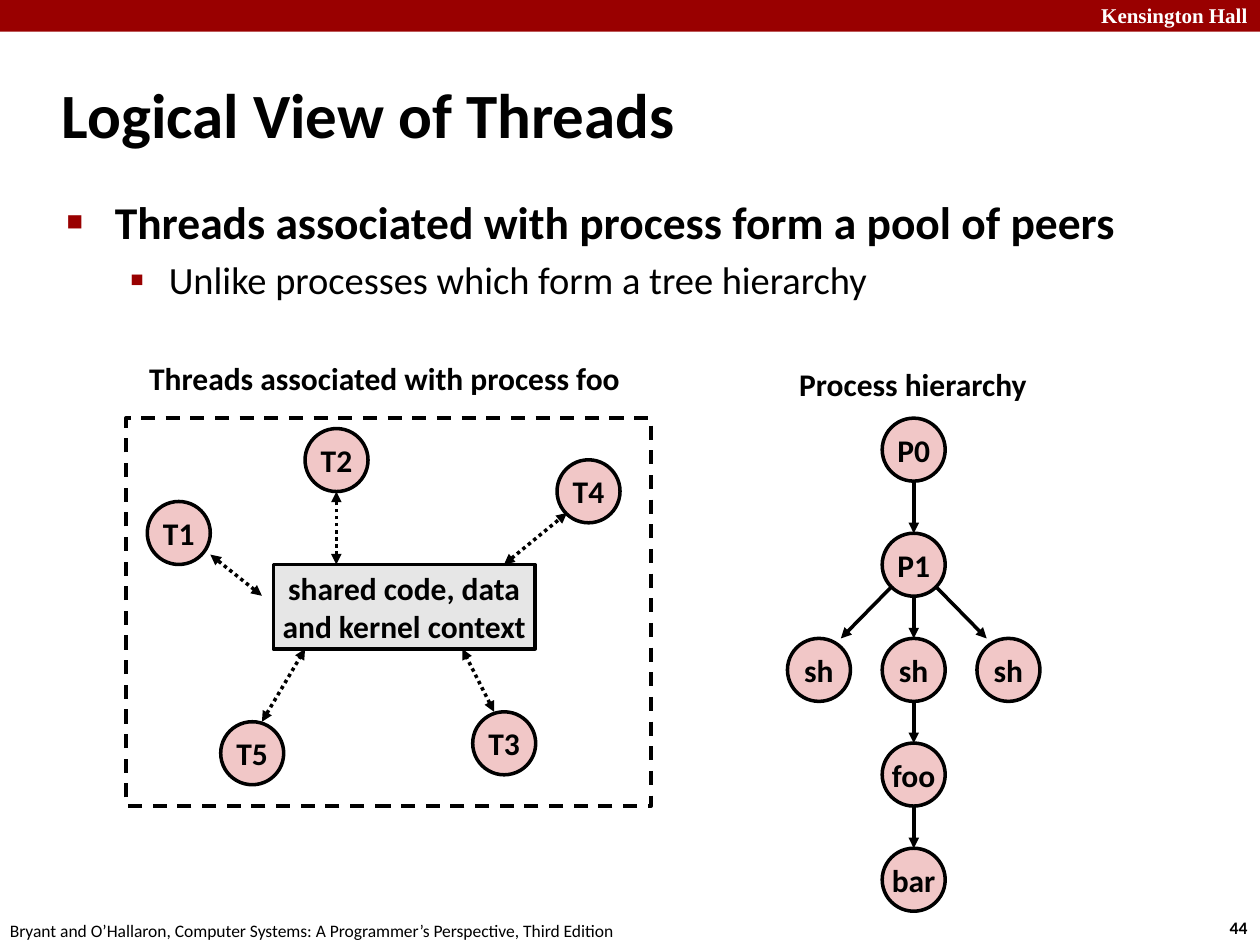
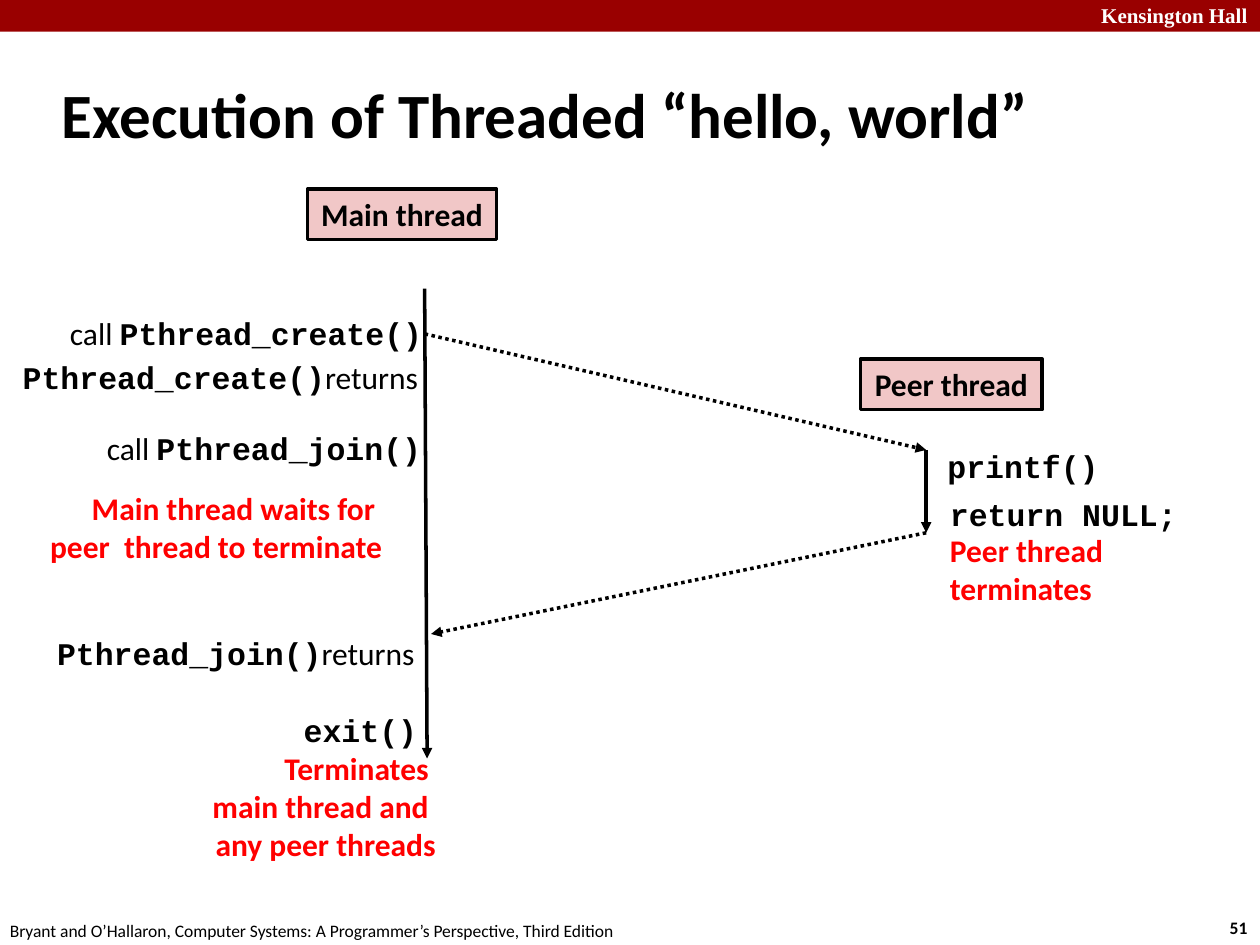
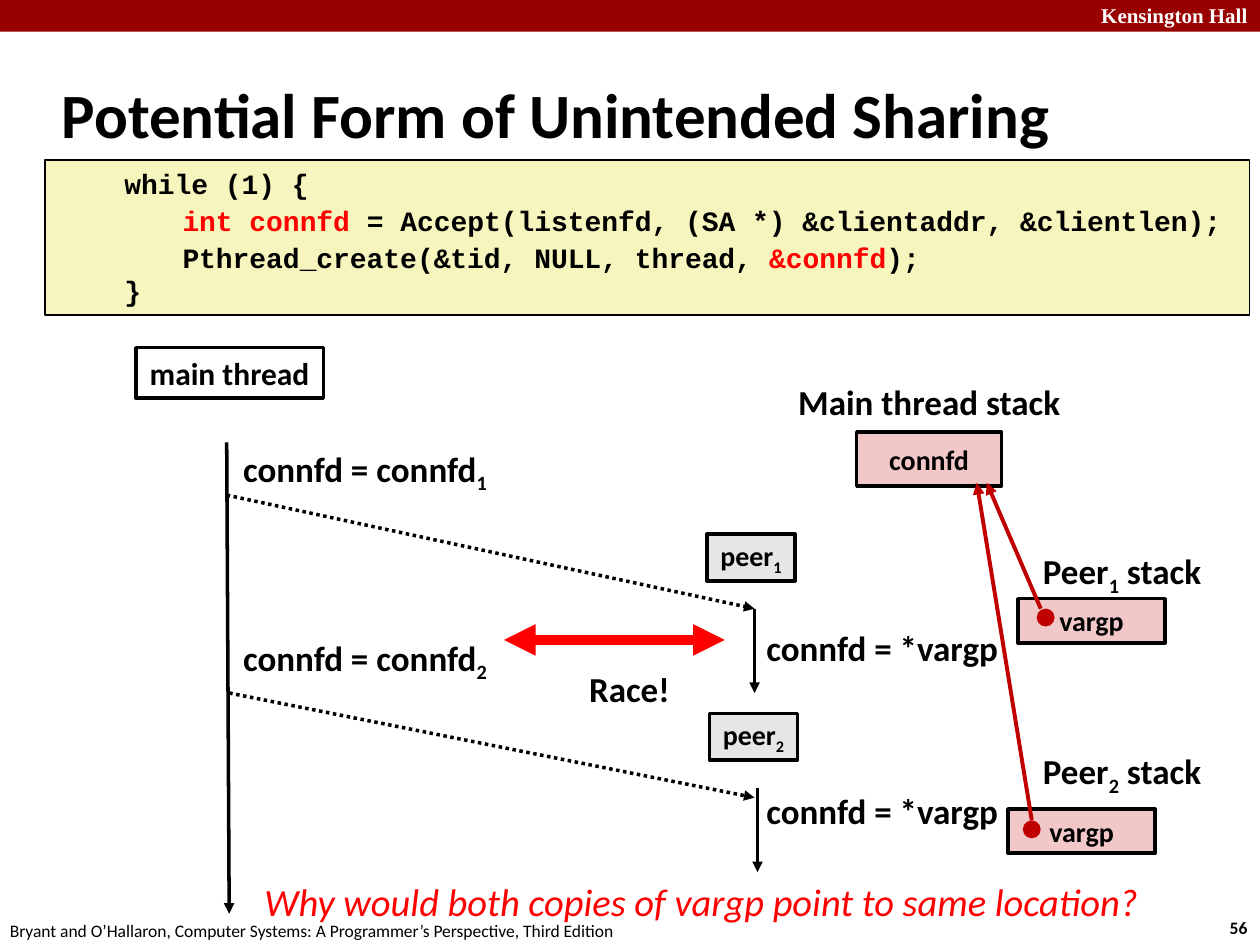
from itertools import pairwise

from lxml import etree
from pptx import Presentation
from pptx import util as u
from pptx.dml.color import RGBColor
from pptx.enum import dml, shapes, text
from pptx.oxml.ns import qn

BLACK, WHITE, RED = "000000", "FFFFFF", "FF0000"
BAND, POINTER = "990000", "C00000"
PINK, GREY, CREAM = "F1C7C7", "E6E6E6", "F6F5BD"

LEFT, CENTER, RIGHT = text.PP_ALIGN.LEFT, text.PP_ALIGN.CENTER, text.PP_ALIGN.RIGHT
TOP, MIDDLE = text.MSO_ANCHOR.TOP, text.MSO_ANCHOR.MIDDLE
RECT, OVAL = shapes.MSO_SHAPE.RECTANGLE, shapes.MSO_SHAPE.OVAL
DOTS, DASHES = dml.MSO_LINE.ROUND_DOT, dml.MSO_LINE.DASH

PLAIN = {"bold": False}
MONO = {"name": "Courier New"}
ALERT = {"color": RED}
SUB = {"baseline": "-25000"}

NODE = 1.27  # diameter of a thread or process circle, cm


def rgb(code):
    return RGBColor.from_string(code)


def cm(*lengths):
    return [u.Cm(length) for length in lengths]


class Deck:
    """Holds the shared style and the slide being drawn."""

    font = {"name": "Calibri", "size": 18, "bold": True, "color": BLACK}
    bullets = [  # size, bold, left margin, hanging indent, sign, sign size
        (26, True, 0.97, 0.97, "■", "60000"),
        (22, False, 2.06, 0.79, "▪", "110000"),
    ]

    def __init__(self):
        self.prs = Presentation()
        self.prs.slide_width, self.prs.slide_height = cm(25.4, 19.05)
        self.slide = None

    # Slide frame
    def new_slide(self, title, number, layout=5):
        first = self.slide is None
        self.slide = self.prs.slides.add_slide(self.prs.slide_layouts[layout])
        if first:
            self.frame_master()
        heading = self.slide.shapes.title
        self.place(heading, 0.99, 1.22, 21.08, 2.11)
        self.set_text(heading, [title], LEFT, MIDDLE, size=36)
        self.label([str(number)], 24.54, 18.36, 0.94, 0.69, size=10)

    def frame_master(self):
        band = self.shape(RECT, 0, 0, 25.4, 0.64, fill=BAND, line=None)
        school = self.label(["Kensington Hall"], 21.95, -0.08, 3.63, 0.76, wrap=True,
                            name="Times New Roman", size=12, color=WHITE)
        book = self.label(["Bryant and O’Hallaron, Computer Systems: "
                           "A Programmer’s Perspective, Third Edition"],
                          -0.05, 18.42, 12.9, 0.69, size=10, bold=False)
        for part in (band, school, book):
            self.prs.slide_master.shapes.element.append(part.element)

    # Text
    def place(self, shape, *box):
        shape.left, shape.top, shape.width, shape.height = cm(*box)

    def set_text(self, shape, lines, align, anchor, wrap=True, grow=False, **style):
        """Each line is a string or a list of (string, font changes)."""
        frame = shape.text_frame
        frame.word_wrap = wrap
        frame.vertical_anchor = anchor
        size_mode = text.MSO_AUTO_SIZE
        frame.auto_size = size_mode.SHAPE_TO_FIT_TEXT if grow else size_mode.NONE
        for i, line in enumerate(lines):
            paragraph = frame.add_paragraph() if i else frame.paragraphs[0]
            paragraph.alignment = align
            for words, changes in [(line, {})] if isinstance(line, str) else line:
                run = paragraph.add_run()
                run.text = words
                self.format_run(run, {**self.font, **style, **changes})

    def format_run(self, run, style):
        for key, value in style.items():
            if key == "color":
                run.font.color.rgb = rgb(value)
            elif key == "baseline":
                run._r.get_or_add_rPr().set("baseline", value)
            else:
                setattr(run.font, key, u.Pt(value) if key == "size" else value)

    def label(self, lines, *box, align=LEFT, anchor=TOP, wrap=False, **style):
        label = self.slide.shapes.add_textbox(*cm(*box))
        self.set_text(label, lines, align, anchor, wrap, grow=True, **style)
        return label

    def bullet_list(self, lines, *box):
        body = self.slide.placeholders[1]
        self.place(body, *box)
        self.set_text(body, lines, LEFT, TOP)
        for level, paragraph in enumerate(body.text_frame.paragraphs):
            size, bold, margin, hang, sign, scale = self.bullets[level]
            paragraph.level = level
            self.format_run(paragraph.runs[0], {"size": size, "bold": bold})
            props = paragraph._p.get_or_add_pPr()
            props.set("marL", str(u.Cm(margin)))
            props.set("indent", str(-u.Cm(hang)))
            colour = etree.SubElement(props, qn("a:buClr"))
            etree.SubElement(colour, qn("a:srgbClr"), val=BAND)
            etree.SubElement(props, qn("a:buSzPct"), val=scale)
            etree.SubElement(props, qn("a:buChar"), char=sign)

    # Shapes and lines
    def shape(self, kind, *box, fill=None, line=BLACK, weight=2, dash=None):
        shape = self.slide.shapes.add_shape(kind, *cm(*box))
        shape.shadow.inherit = False
        if fill:
            shape.fill.solid()
            shape.fill.fore_color.rgb = rgb(fill)
        else:
            shape.fill.background()
        if line:
            self.stroke(shape.line, line, weight, dash)
        else:
            shape.line.fill.background()
        return shape

    def stroke(self, line, color, weight, dash):
        line.color.rgb = rgb(color)
        line.width = u.Pt(weight)
        if dash:
            line.dash_style = dash

    def box(self, lines, *box, fill=PINK, grow=False, **style):
        shape = self.shape(RECT, *box, fill=fill)
        self.set_text(shape, lines, CENTER, MIDDLE, wrap=False, grow=grow, **style)

    def node(self, name, left, top):
        circle = self.shape(OVAL, left, top, NODE, NODE, fill=PINK)
        self.set_text(circle, [name], CENTER, MIDDLE, wrap=False)

    def arrow(self, start, end, color=BLACK, weight=2, dash=None, both=False):
        arrow = self.slide.shapes.add_connector(
            shapes.MSO_CONNECTOR.STRAIGHT, *cm(*start, *end))
        self.stroke(arrow.line, color, weight, dash)
        props = arrow.element.spPr
        for tip in ("a:headEnd", "a:tailEnd") if both else ("a:tailEnd",):
            etree.SubElement(props.find(qn("a:ln")), qn(tip), type="triangle")
        etree.SubElement(props, qn("a:effectLst"))


def logical_view(deck):
    deck.new_slide("Logical View of Threads", 44, layout=1)
    deck.bullet_list(["Threads associated with process form a pool of peers",
                      "Unlike processes which form a tree hierarchy"],
                     1.09, 3.78, 21.95, 13.82)

    # Process tree: one trunk, with a shell on either side
    deck.label(["Process hierarchy"], 15.8, 7.24, 5.21, 1.02,
               align=CENTER, anchor=MIDDLE)
    axis = 18.42
    trunk = {"P0": 8.43, "P1": 10.75, "sh": 12.87, "foo": 14.98, "bar": 17.1}
    for name, top in trunk.items():
        deck.node(name, axis - NODE / 2, top)
    for upper, lower in pairwise(trunk.values()):
        deck.arrow((axis, upper + NODE), (axis, lower))
    for side in (-1, 1):
        deck.node("sh", axis - NODE / 2 + side * 1.91, trunk["sh"])
        deck.arrow((axis + side * 0.43, 11.81), (axis + side * 1.47, trunk["sh"]))

    # Pool of threads around the shared context
    deck.shape(RECT, 2.54, 8.43, 10.59, 7.82, dash=DASHES)
    deck.label(["Threads associated with process foo"], 2.69, 7.11, 10.13, 1.02,
               align=CENTER, anchor=MIDDLE)
    deck.box(["shared code, data", "and kernel context"],
             5.51, 11.38, 5.28, 1.7, fill=GREY)
    threads = [  # name, circle corner, arrow start, arrow end
        ("T1", (2.97, 10.11), (5.28, 12.01), (4.24, 11.18)),
        ("T2", (6.15, 8.64), (6.78, 11.38), (6.78, 9.91)),
        ("T3", (9.53, 14.35), (9.96, 14.35), (9.32, 13.08)),
        ("T4", (11.23, 9.27), (10.16, 11.38), (11.43, 10.34)),
        ("T5", (4.45, 14.55), (5.28, 14.55), (6.15, 13.08)),
    ]
    for name, corner, start, end in threads:
        deck.node(name, *corner)
        deck.arrow(start, end, dash=DOTS, both=True)


def threaded_hello(deck):
    deck.new_slide("Execution of Threaded “hello, world”", 51)
    deck.box(["Main thread"], 6.2, 3.81, 3.81, 1.02, grow=True)
    deck.box(["Peer thread"], 17.35, 7.24, 3.66, 1.02, grow=True)

    # Time lines, then creation and join
    peer_start, peer_end = (18.67, 9.07), (18.67, 10.74)
    deck.arrow((8.56, 5.82), (8.61, 15.29))
    deck.arrow(peer_start, peer_end)
    deck.arrow((8.56, 6.73), peer_start, dash=DOTS)
    deck.arrow(peer_end, (8.69, 12.78), dash=DOTS)

    # Main thread steps
    create, join = ("Pthread_create()", MONO), ("Pthread_join()", MONO)
    call, returns = ("call ", PLAIN), ("returns", PLAIN)
    deck.label([[call, create]], 0.94, 6.2, 7.82, 1.02, align=RIGHT)
    deck.label([[create, returns]], 0.15, 7.09, 8.53, 1.02, align=RIGHT)
    deck.label([[call, join]], 1.7, 8.53, 7.04, 1.02, align=RIGHT)
    deck.label(["Main thread waits for ", "peer  thread to terminate"],
               0.64, 9.73, 7.32, 1.8, align=RIGHT, anchor=MIDDLE, **ALERT)
    deck.label([[join, returns]], 0.79, 12.65, 7.82, 1.02, align=RIGHT, wrap=True)
    deck.label([[("exit() ", {**MONO, "color": BLACK})],
                "Terminates ", "main thread and ", "any peer threads"],
               4.01, 14.2, 5.03, 3.33, align=RIGHT, anchor=MIDDLE, **ALERT)

    # Peer thread steps
    deck.label(["printf()"], 18.85, 8.89, 3.58, 1.02, anchor=MIDDLE, **MONO)
    deck.label(["return NULL;"], 18.9, 9.86, 5.28, 1.02, anchor=MIDDLE, **MONO)
    deck.label(["Peer thread", "terminates"], 18.9, 10.59, 3.66, 1.8, **ALERT)


def unintended_sharing(deck):
    deck.new_slide("Potential Form of Unintended Sharing", 56)

    # Code
    code = deck.shape(RECT, 0.91, 3.23, 24.28, 3.12, fill=CREAM, weight=1)
    deck.set_text(code, [
        "while (1) {",
        [("int connfd ", ALERT),
         ("= Accept(listenfd, (SA *) &clientaddr, &clientlen);", {})],
        [("Pthread_create(&tid, NULL, thread, ", {}), ("&connfd", ALERT), (");", {})],
        "}",
    ], LEFT, TOP, size=16, **MONO)
    outer, inner = (1.35, 1.0), (2.52, 1.1)  # indent, line spacing
    for line, (indent, spacing) in zip(code.text_frame.paragraphs,
                                       (outer, inner, inner, outer)):
        line.line_spacing = spacing
        line._p.get_or_add_pPr().set("marL", str(u.Cm(indent)))

    # Main thread and its stack
    deck.box(["main thread"], 2.74, 7.01, 3.78, 1.02, fill=None, grow=True)
    deck.arrow((4.57, 8.92), (4.62, 18.42))
    deck.label(["Main thread stack"], 15.8, 7.54, 5.87, 1.12, align=CENTER, size=20)
    deck.box(["connfd"], 17.27, 8.71, 2.92, 1.09, size=16)

    # Peers: value set, creation arrow, time line, read, stack
    peers = [
        dict(number="1", value=8.89, fork=(4.57, 9.98), reached=(15.21, 12.27),
             tag=(14.25, 10.77), life=(15.21, 12.27), fetch=12.5, stack=10.95,
             vargp=(20.52, 12.07), dot=(20.9, 12.27),
             pointer=((20.98, 12.27), (19.89, 9.73))),
        dict(number="2", value=12.7, fork=(4.62, 13.97), reached=(15.21, 16.08),
             tag=(14.3, 14.38), life=(15.27, 15.88), fetch=15.8, stack=14.99,
             vargp=(20.32, 16.31), dot=(20.62, 16.54),
             pointer=((20.8, 16.54), (19.69, 9.73))),
    ]
    for peer in peers:
        sub = (peer["number"], SUB)
        deck.label([[("connfd = connfd", {}), sub]], 4.65, peer["value"], 5.54, 1.12,
                   size=20)
        deck.arrow(peer["fork"], peer["reached"], dash=DOTS)
        deck.box([[("peer", {}), sub]], *peer["tag"], 1.78, 0.94, fill=GREY,
                 grow=True, size=16)
        x, y = peer["life"]
        deck.arrow((x, y), (x, y + 1.7))
        deck.label([" connfd = *vargp"], 15.04, peer["fetch"], 5.41, 1.12, size=20)
        deck.label([[("Peer", {}), sub, (" stack", {})]], 20.73, peer["stack"],
                   3.78, 1.12, align=CENTER, size=20)
        deck.box(["vargp"], *peer["vargp"], 2.97, 0.89, size=16)
        deck.arrow(*peer["pointer"], color=POINTER, weight=2.25)
        deck.shape(OVAL, *peer["dot"], 0.36, 0.36, fill=POINTER, line=None)

    # Race and question
    deck.arrow((10.16, 12.9), (14.61, 12.9), color=RED, weight=6, both=True)
    deck.label(["Race!"], 11.61, 13.34, 2.16, 1.12, align=CENTER, size=20)
    deck.label(["Why would both copies of vargp point to same location?"],
               5.08, 17.58, 19.02, 1.19, size=22, bold=False, italic=True, **ALERT)


def main():
    deck = Deck()
    logical_view(deck)
    threaded_hello(deck)
    unintended_sharing(deck)
    deck.prs.save("out.pptx")


if __name__ == "__main__":
    main()
